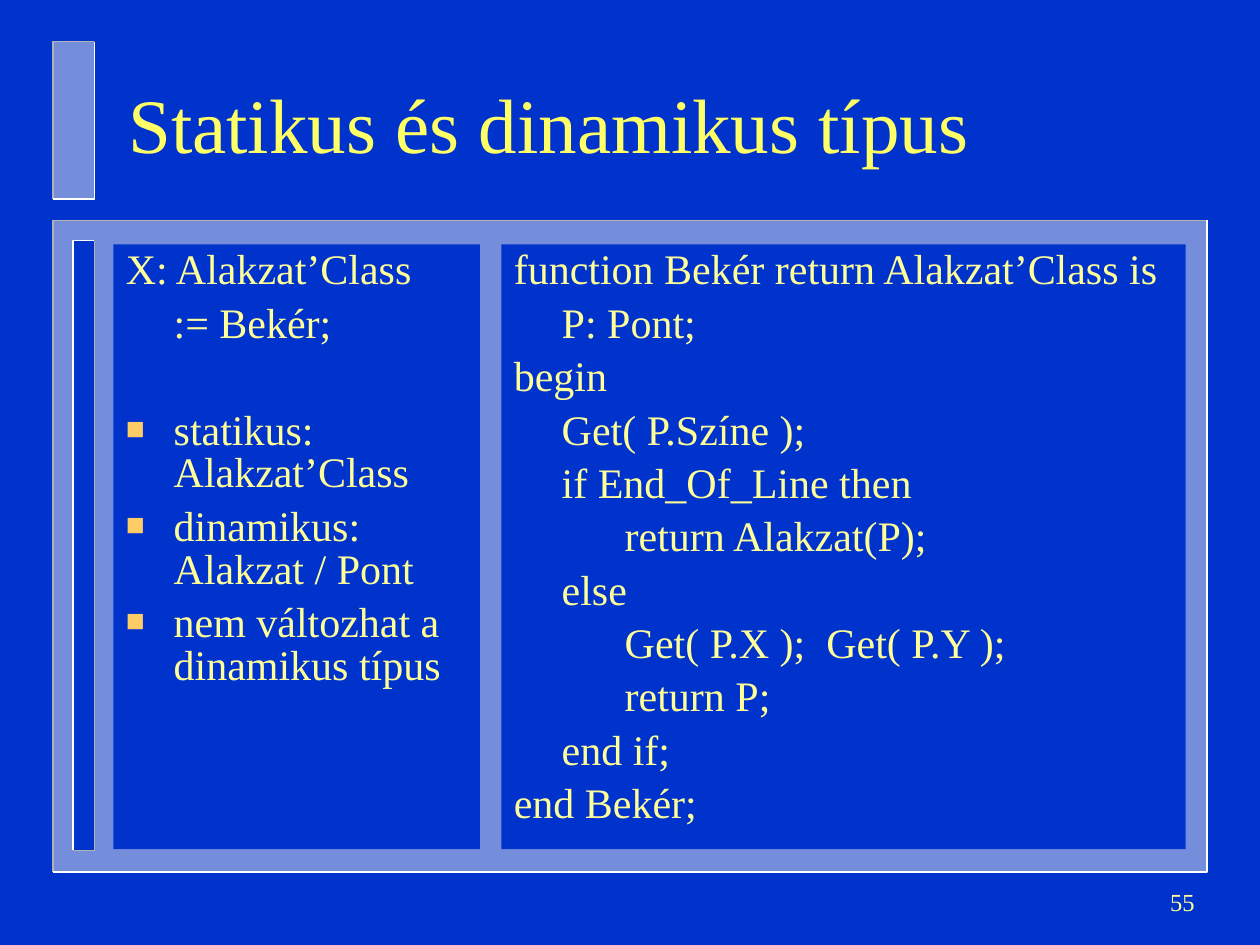
from lxml import etree
from pptx import Presentation
from pptx import util as u
from pptx.dml.color import RGBColor
from pptx.enum import shapes, text
from pptx.oxml.ns import qn

FONT = "Times New Roman"
COLORS = {
    "background": "0033CC", "panel": "EAEAEA", "shade": "B2B2B2", "light": "FFFFFF",
    "title": "FFFF66", "body": "FFFF99", "bullet": "FFCC66",
}

TITLE = "Statikus és dinamikus típus"
PAGE_NUMBER = "55"
DECLARATION = ["X: Alakzat’Class", "\t:= Bekér;"]
BULLETS = ["statikus:\vAlakzat’Class", "dinamikus:\vAlakzat / Pont",
           "nem változhat a\vdinamikus típus"]
FUNCTION = [
    "function Bekér return Alakzat’Class is",
    "\tP: Pont;",
    "begin",
    "\tGet( P.Színe );",
    "\tif End_Of_Line then",
    "\t\treturn Alakzat(P);",
    "\telse",
    "\t\tGet( P.X );  Get( P.Y );",
    "\t\treturn P;",
    "\tend if;",
    "end Bekér;",
]

# left, top, width, height; fill; fill opacity; top-left edge; bottom-right edge
PANELS = [
    ((0.42, 1.75, 9.16, 5.17), "panel", 50, "shade", "light"),
    ((0.58, 1.91, 0.17, 4.84), "background", 100, "light", "shade"),
    ((0.42, 0.33, 0.33, 1.25), "panel", 50, "shade", "light"),
]
TITLE_BOX = (0.92, 0.37, 8.5, 1.21)
DECLARATION_BOX = (0.9, 1.94, 2.91, 4.8)
FUNCTION_BOX = (3.98, 1.94, 5.43, 4.8)
NUMBER_BOX = (7.5, 6.91, 2.08, 0.5)

HANGING = u.Inches(0.38)
GAP = 6
SECTION_GAP = 36.5


def color(name):
    return RGBColor.from_string(COLORS[name])


def add_rectangle(slide, box, fill, opacity=100):
    shape = slide.shapes.add_shape(shapes.MSO_SHAPE.RECTANGLE, *map(u.Inches, box))
    shape.shadow.inherit = False
    shape.fill.solid()
    shape.fill.fore_color.rgb = color(fill)
    shape.line.fill.background()
    if opacity < 100:
        srgb = shape.fill._xPr.find(".//" + qn("a:srgbClr"))
        etree.SubElement(srgb, qn("a:alpha"), val=str(opacity * 1000))
    return shape


def add_edge(slide, points, line):
    start, *rest = [tuple(map(u.Inches, point)) for point in points]
    builder = slide.shapes.build_freeform(*start)
    builder.add_line_segments(rest, close=False)
    edge = builder.convert_to_shape()
    edge.shadow.inherit = False
    edge.fill.background()
    edge.line.color.rgb = color(line)
    edge.line.width = u.Pt(1)


def add_panel(slide, box, fill, opacity, top_left, bottom_right):
    """Rectangle with a bevel of two differently coloured edges."""
    left, top, width, height = box
    right, bottom = left + width, top + height
    add_rectangle(slide, box, fill, opacity)
    add_edge(slide, [(right, top), (left, top), (left, bottom)], top_left)
    add_edge(slide, [(right, top), (right, bottom), (left, bottom)], bottom_right)


def format_runs(paragraph, size, name):
    for run in paragraph.runs:
        run.font.size = u.Pt(size)
        run.font.name = FONT
        run.font.color.rgb = color(name)


def add_line_of_text(slide, box, words, size, name, align):
    shape = slide.shapes.add_textbox(*map(u.Inches, box))
    frame = shape.text_frame
    frame.word_wrap = True
    frame.vertical_anchor = text.MSO_ANCHOR.MIDDLE
    frame.text = words
    frame.paragraphs[0].alignment = align
    format_runs(frame.paragraphs[0], size, name)


def set_indent(paragraph, bulleted):
    """Hanging indent with one-inch tabs and, if asked, a square bullet."""
    properties = paragraph._p.get_or_add_pPr()
    properties.set("marL", str(HANGING))
    properties.set("indent", str(-HANGING))
    if bulleted:
        bullet_color = etree.SubElement(properties, qn("a:buClr"))
        etree.SubElement(bullet_color, qn("a:srgbClr"), val=COLORS["bullet"])
        etree.SubElement(properties, qn("a:buSzPct"), val="75000")
        etree.SubElement(properties, qn("a:buFont"), typeface=FONT)
        etree.SubElement(properties, qn("a:buChar"), char="■")
    else:
        etree.SubElement(properties, qn("a:buNone"))
    tabs = etree.SubElement(properties, qn("a:tabLst"))
    for inch in range(8):
        etree.SubElement(tabs, qn("a:tab"), pos=str(u.Inches(inch)), algn="l")


def add_text_panel(slide, box, lines, bullets=()):
    frame = add_rectangle(slide, box, "background").text_frame
    frame.word_wrap = True
    frame.vertical_anchor = text.MSO_ANCHOR.TOP
    for index, words in enumerate([*lines, *bullets]):
        paragraph = frame.add_paragraph() if index else frame.paragraphs[0]
        paragraph.text = words
        paragraph.alignment = text.PP_ALIGN.LEFT
        set_indent(paragraph, bulleted=index >= len(lines))
        paragraph.line_spacing = 0.85
        if index:
            paragraph.space_before = u.Pt(SECTION_GAP if index == len(lines) else GAP)
        format_runs(paragraph, 24, "body")


def main():
    presentation = Presentation()
    presentation.slide_width, presentation.slide_height = u.Inches(10), u.Inches(7.5)
    slide = presentation.slides.add_slide(presentation.slide_layouts[6])
    slide.background.fill.solid()
    slide.background.fill.fore_color.rgb = color("background")

    for panel in PANELS:
        add_panel(slide, *panel)
    add_line_of_text(slide, TITLE_BOX, TITLE, 44, "title", text.PP_ALIGN.LEFT)
    add_text_panel(slide, DECLARATION_BOX, DECLARATION, BULLETS)
    add_text_panel(slide, FUNCTION_BOX, FUNCTION)
    add_line_of_text(slide, NUMBER_BOX, PAGE_NUMBER, 14, "body", text.PP_ALIGN.RIGHT)
    presentation.save("out.pptx")


if __name__ == "__main__":
    main()
